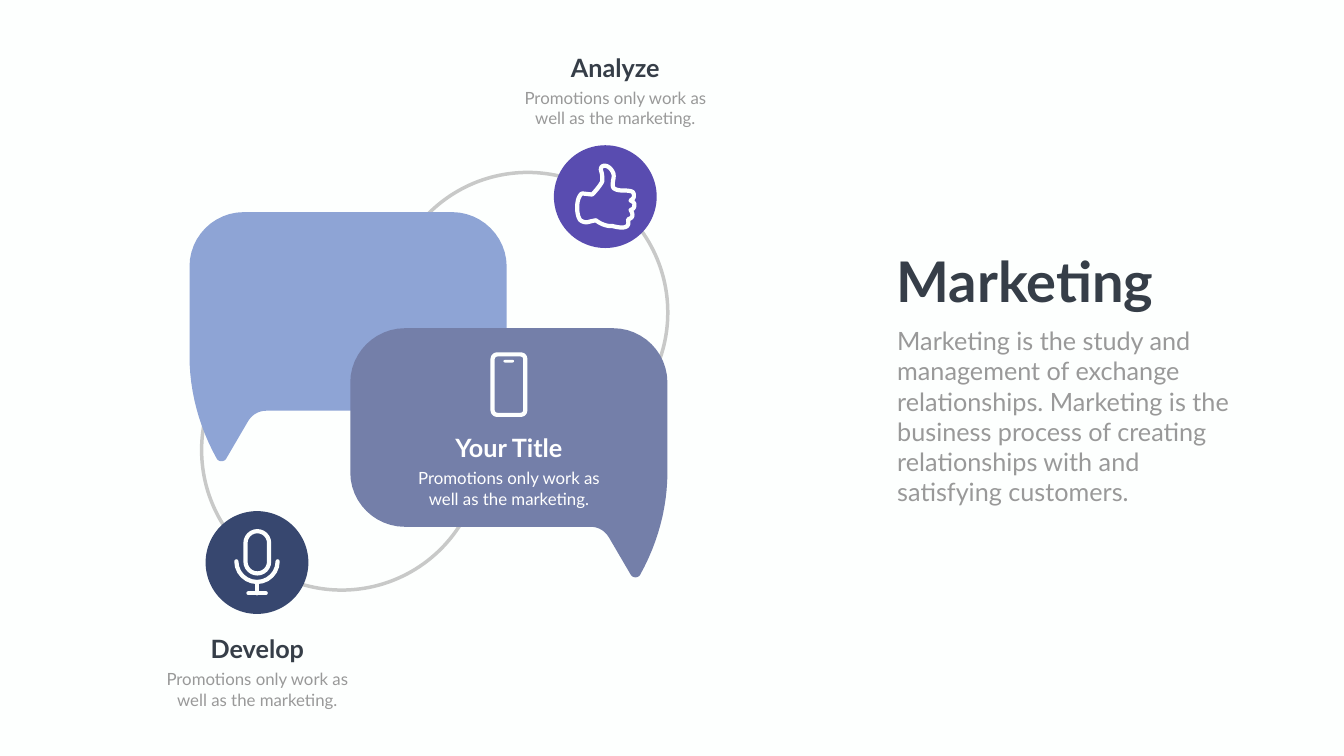
from lxml import etree
from pptx import Presentation
from pptx.dml.color import RGBColor
from pptx.enum.shapes import MSO_CONNECTOR, MSO_SHAPE
from pptx.enum.text import MSO_ANCHOR, MSO_AUTO_SIZE, PP_ALIGN
from pptx.oxml.ns import qn
from pptx.util import Cm, Pt

ARC, OVAL, ROUNDED = MSO_SHAPE.ARC, MSO_SHAPE.OVAL, MSO_SHAPE.ROUNDED_RECTANGLE
STRAIGHT = MSO_CONNECTOR.STRAIGHT
LEFT, CENTER = PP_ALIGN.LEFT, PP_ALIGN.CENTER
TOP, NO_FIT = MSO_ANCHOR.TOP, MSO_AUTO_SIZE.NONE

color = RGBColor.from_string
PAPER, WHITE, INK, GRAY = "FDFFFE", "FFFFFF", "363E48", "999999"
ICON_LINE = 6
PROMOTION = "Promotions only work as well as the marketing."


def paint(shape, fill=None, line=None, width=1):
    """Set fill and line, round the line ends and drop the shadow."""
    if fill:
        shape.fill.solid()
        shape.fill.fore_color.rgb = color(fill)
    elif hasattr(shape, "fill"):
        shape.fill.background()
    if line:
        shape.line.color.rgb = color(line)
        shape.line.width = Pt(width)
        shape._element.spPr.find(qn("a:ln")).set("cap", "rnd")
    else:
        shape.line.fill.background()
    etree.SubElement(shape._element.spPr, qn("a:effectLst"))


def draw_outline(segments, left, top, scale_x, scale_y):
    """Draw a closed outline of straight (x, y) and cubic Bezier segments."""
    points = [segments[0]]
    for segment in segments[1:]:
        if len(segment) == 2:
            points.append(segment)
            continue
        x0, y0 = points[-1]
        x1, y1, x2, y2, x3, y3 = segment
        for step in range(1, 13):
            t = step / 12
            a, b, c, d = (1 - t) ** 3, 3 * t * (1 - t) ** 2, 3 * t * t * (1 - t), t ** 3
            points.append((a * x0 + b * x1 + c * x2 + d * x3,
                           a * y0 + b * y1 + c * y2 + d * y3))
    placed = [(Cm(left + x * scale_x), Cm(top + y * scale_y)) for x, y in points]
    builder = shapes.build_freeform(*placed[0], scale=1.0)
    builder.add_line_segments(placed[1:], close=True)
    return builder.convert_to_shape()


deck = Presentation()
deck.slide_width, deck.slide_height = Cm(67.72), Cm(38.1)
page = deck.slides.add_slide(deck.slide_layouts[5])
page.background.fill.solid()
page.background.fill.fore_color.rgb = color(PAPER)
shapes = page.shapes

# Half rings behind the bubbles: left, top, start and end angle
for left, top, start, end in [(19.53, 8.69, 215.6, 35.8), (10.16, 15.62, 29.5, 209.5)]:
    ring = shapes.add_shape(ARC, Cm(left), Cm(top), Cm(14.12), Cm(14.12))
    for index, angle in enumerate((start, end)):
        ring.adjustments[index] = angle * 0.6
    paint(ring, line="949494", width=5)
    ring_color = ring._element.spPr.find(qn("a:ln")).find(".//" + qn("a:srgbClr"))
    etree.SubElement(ring_color, qn("a:alpha"), val="50000")

# Speech bubbles, the second one mirrored
bubble_outline = [
    (0, 2.74), (0, 7.24),
    (0, 9.04, 0.48, 10.82, 1.37, 12.42),
    (1.47, 12.6, 1.75, 12.6, 1.85, 12.42),
    (2.95, 10.54),
    (3.15, 10.21, 3.48, 10.01, 3.86, 10.01),
    (13.23, 10.01),
    (14.73, 10.01, 15.98, 8.79, 15.98, 7.26),
    (15.98, 2.74),
    (15.98, 1.24, 14.73, 0, 13.23, 0),
    (2.74, 0),
    (1.22, 0, 0, 1.24, 0, 2.74),
]
for left, top, direction, fill in [(9.55, 10.69, 1, "8EA4D5"), (33.63, 16.54, -1, "747FA9")]:
    paint(draw_outline(bubble_outline, left, top, direction, 1), fill)

# Icon discs
for left, top, fill in [(27.91, 7.32, "594CB0"), (10.36, 25.76, "37476F")]:
    paint(shapes.add_shape(OVAL, Cm(left), Cm(top), Cm(5.18), Cm(5.18)), fill)

# Thumb icon, in hundredths of an inch
thumb_outline = [
    (93, 127.5),
    (87, 127.5, 81, 126, 76, 125),
    (73, 124, 71, 124.5, 70, 124.5),
    (63, 124.5, 51, 121, 41, 113),
    (37, 114, 31, 115, 26, 116.5),
    (20, 118, 14, 116, 10, 112.5),
    (6, 107, 4, 98, 4, 88),
    (4, 73, 8, 66, 11, 62),
    (13, 60, 14, 60, 16, 60),
    (33.5, 62),
    (38, 58, 41, 54, 44, 50.5),
    (53, 39, 54, 36, 54, 34),
    (54, 20, 52, 17, 51, 13),
    (51, 9, 52, 6, 56.5, 5),
    (63, 3.5, 71, 9, 75.5, 19),
    (77.5, 25, 76, 30, 75, 36),
    (74.5, 42, 74, 46, 76.5, 49.5),
    (83, 54, 91, 54, 98, 54),
    (102, 54, 106, 54.5, 109, 55),
    (115, 56, 117, 59, 116.5, 66),
    (116, 70, 113, 71, 110, 74),
    (115, 76, 118, 79, 117.5, 83),
    (117.5, 88, 115, 91, 110, 92.5),
    (113, 97, 114, 101, 113.5, 104),
    (113, 108, 109, 110, 105, 111),
    (106, 118, 106, 122, 103, 124.5),
    (101, 126, 98, 127.5, 93, 127.5),
]
hundredth = 2.54 / 100
thumb = draw_outline(thumb_outline, 28.98, 8.23, hundredth, hundredth)
paint(thumb, line=PAPER, width=ICON_LINE)

# Phone body and microphone capsule: left, top, width, height, corner
for left, top, width, height, corner in [(24.82, 17.86, 1.65, 3.05, 0.14),
                                         (12.37, 26.77, 1.19, 2.13, 0.5)]:
    body = shapes.add_shape(ROUNDED, Cm(left), Cm(top), Cm(width), Cm(height))
    body.adjustments[0] = corner
    paint(body, line=PAPER, width=ICON_LINE)

# Phone speaker
speaker = shapes.add_shape(ROUNDED, Cm(25.37), Cm(18.14), Cm(0.53), Cm(0.13))
speaker.adjustments[0] = 0.5
paint(speaker, PAPER)

# Microphone cradle, stem and foot
cradle = shapes.add_shape(ARC, Cm(11.91), Cm(27.25), Cm(2.08), Cm(2.08))
cradle.adjustments[0], cradle.adjustments[1] = 0, 180 * 0.6
paint(cradle, line=PAPER, width=ICON_LINE)
for ends in [(12.95, 29.34, 12.95, 29.9), (12.52, 29.9, 13.39, 29.9)]:
    paint(shapes.add_connector(STRAIGHT, *map(Cm, ends)), line=PAPER, width=ICON_LINE)

# Texts: box, wording, left, top, width, height, alignment, format
texts = [
    (shapes.title, "Marketing", 44.93, 12.32, 17.91, 3.68, LEFT,
     {"size": Pt(80), "bold": True}, INK),
    (None, "Marketing is the study and management of exchange relationships. "
     "Marketing is the business process of creating relationships with and "
     "satisfying customers.", 44.96, 16.28, 17.42, 9.5, LEFT, {"size": Pt(36)}, GRAY),
]
for heading, left, top, head_color, note_color in [
        ("Analyze", 27.69, 2.51, INK, GRAY),
        ("Develop", 9.65, 31.8, INK, GRAY),
        ("Your Title", 22.33, 21.67, WHITE, WHITE)]:
    texts += [
        (None, heading, left, top, 6.63, 1.8, CENTER,
         {"size": Pt(36), "bold": True}, head_color),
        (None, PROMOTION, left - 1.79, top + 1.8, 10.21, 2.31, CENTER,
         {"size": Pt(24)}, note_color),
    ]
for box, wording, left, top, width, height, alignment, formats, text_color in texts:
    box = box or shapes.add_textbox(0, 0, 0, 0)
    box.left, box.top, box.width, box.height = map(Cm, (left, top, width, height))
    frame = box.text_frame
    frame.word_wrap, frame.auto_size, frame.vertical_anchor = True, NO_FIT, TOP
    para = frame.paragraphs[0]
    para.alignment = alignment
    span = para.add_run()
    span.text = wording
    for name, value in {"name": "Lato", **formats}.items():
        setattr(span.font, name, value)
    span.font.color.rgb = color(text_color)

deck.save("out.pptx")
